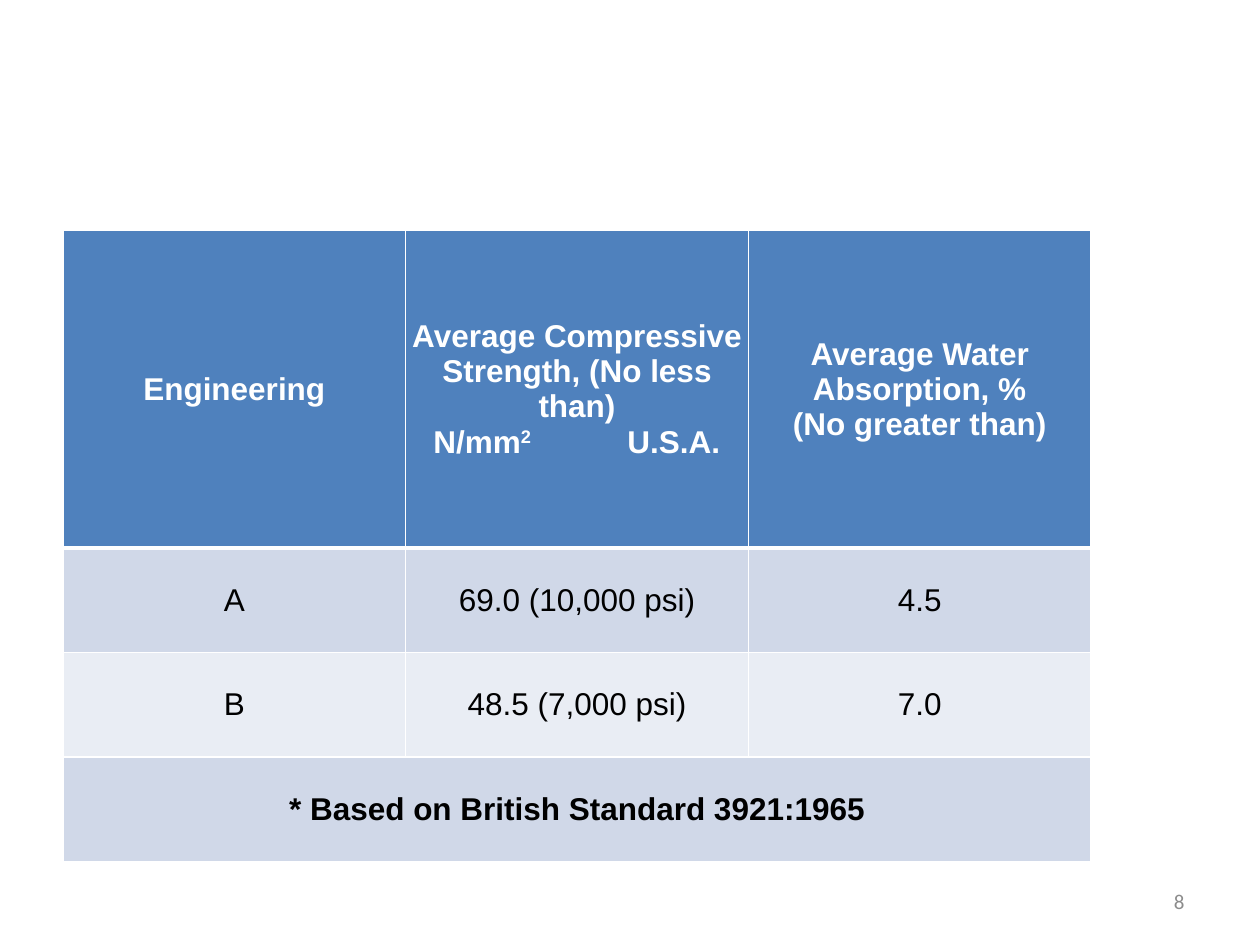
from dataclasses import dataclass

from lxml import etree
from pptx import Presentation
from pptx import util as u
from pptx.dml.color import RGBColor
from pptx.enum import text
from pptx.oxml import ns

WHITE = RGBColor(0xFF, 0xFF, 0xFF)
BLACK = RGBColor(0x00, 0x00, 0x00)
GREY = RGBColor(0x8C, 0x8C, 0x8C)
BLUE = RGBColor(0x4F, 0x81, 0xBD)
BAND_DARK = RGBColor(0xD0, 0xD8, 0xE8)
BAND_LIGHT = RGBColor(0xE9, 0xED, 0xF4)

SLIDE_W, SLIDE_H = u.Inches(10), u.Inches(7.5)
COLUMN_W = u.Inches(2.72)
HEADER_H, BODY_H = u.Inches(2.52), u.Inches(0.83)
CELL_INSET = u.Inches(0.02)
UNIT_TABS = (u.Inches(0.2), u.Inches(1.74))


@dataclass(frozen=True)
class Row:
    cells: tuple[str, ...]
    fill: RGBColor
    color: RGBColor = BLACK
    bold: bool = False
    height: int = BODY_H
    bottom_line: float = 1


ROWS = (
    Row(("Engineering",
         "Average Compressive Strength, (No less than)",
         "Average Water Absorption, %\v(No greater than)"),
        BLUE, WHITE, True, HEADER_H, 3),
    Row(("A", "69.0 (10,000 psi)", "4.5"), BAND_DARK),
    Row(("B", "48.5 (7,000 psi)", "7.0"), BAND_LIGHT),
    Row(("* Based on British Standard 3921:1965",), BAND_DARK, bold=True),
)


def add_run(p, content: str, size: float, font: str, color: RGBColor, bold: bool = False):
    r = p.add_run()
    r.text = content
    r.font.size, r.font.name, r.font.bold = u.Pt(size), font, bold
    r.font.color.rgb = color
    return r


def add_lines(p, content: str, row: Row) -> None:
    for i, line in enumerate(content.split("\v")):
        if i:
            p.add_line_break()
        add_run(p, line, 18, "Arial", row.color, row.bold)


def set_borders(cell, bottom: float) -> None:
    tc_pr = cell._tc.get_or_add_tcPr()
    for side, width in (("L", 1), ("R", 1), ("T", 1), ("B", bottom)):
        line = etree.SubElement(tc_pr, ns.qn(f"a:ln{side}"), w=str(u.Pt(width)))
        fill = etree.SubElement(line, ns.qn("a:solidFill"))
        etree.SubElement(fill, ns.qn("a:srgbClr"), val=str(WHITE))


def add_units(tf, row: Row) -> None:
    """Add the two unit labels on tab stops below the strength heading."""
    p = tf.add_paragraph()
    p.alignment = text.PP_ALIGN.LEFT
    tabs = etree.SubElement(p._p.get_or_add_pPr(), ns.qn("a:tabLst"))
    for stop in UNIT_TABS:
        etree.SubElement(tabs, ns.qn("a:tab"), pos=str(stop), algn="l")
    add_lines(p, "\tN/mm", row)
    power = add_run(p, "2", 18, "Arial", row.color, row.bold)
    power._r.get_or_add_rPr().set("baseline", "30000")
    add_lines(p, "\tU.S.A.", row)


def add_strength_table(slide):
    columns = len(ROWS[0].cells)
    table = slide.shapes.add_table(
        len(ROWS), columns, int(SLIDE_W * 0.05), u.Inches(1.83),
        COLUMN_W * columns, sum(row.height for row in ROWS)).table
    for column in table.columns:
        column.width = COLUMN_W
    for i, row in enumerate(ROWS):
        table.rows[i].height = row.height
        for cell in table.rows[i].cells:
            set_borders(cell, row.bottom_line)
            cell.fill.solid()
            cell.fill.fore_color.rgb = row.fill
            cell.vertical_anchor = text.MSO_ANCHOR.MIDDLE
            cell.margin_left = cell.margin_right = CELL_INSET
            cell.margin_top = cell.margin_bottom = CELL_INSET
        for j, content in enumerate(row.cells):
            p = table.cell(i, j).text_frame.paragraphs[0]
            p.alignment = text.PP_ALIGN.CENTER
            add_lines(p, content, row)
        if len(row.cells) == 1:
            table.cell(i, 0).merge(table.cell(i, columns - 1))
    return table


def add_page_number(slide, number: int) -> None:
    sp = slide.shapes.add_textbox(u.Inches(7.17), u.Inches(6.95),
                                  u.Inches(2.33), u.Inches(0.4))
    tf = sp.text_frame
    tf.word_wrap = True
    tf.vertical_anchor = text.MSO_ANCHOR.MIDDLE
    p = tf.paragraphs[0]
    p.alignment = text.PP_ALIGN.RIGHT
    add_run(p, str(number), 12, "Calibri", GREY)


def main() -> None:
    prs = Presentation()
    prs.slide_width, prs.slide_height = SLIDE_W, SLIDE_H
    slide = prs.slides.add_slide(prs.slide_layouts.get_by_name("Blank"))
    table = add_strength_table(slide)
    add_units(table.cell(0, 1).text_frame, ROWS[0])
    add_page_number(slide, 8)
    prs.save("out.pptx")


if __name__ == "__main__":
    main()
